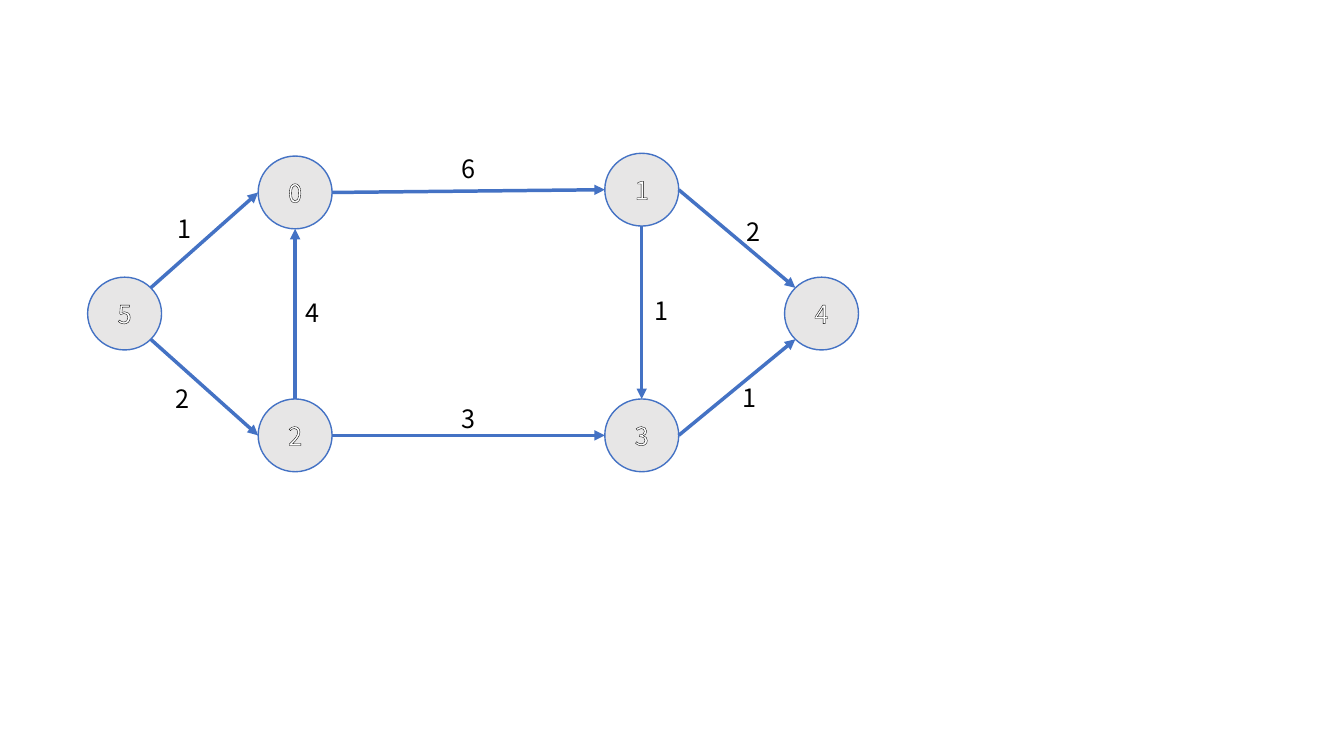
from math import cos, radians, sin

from lxml.etree import SubElement
from pptx import Presentation
from pptx.dml.color import RGBColor
from pptx.enum.shapes import MSO_CONNECTOR, MSO_SHAPE
from pptx.enum.text import MSO_ANCHOR, MSO_AUTO_SIZE, PP_ALIGN
from pptx.oxml import parse_xml
from pptx.oxml.ns import nsdecls, qn
from pptx.util import Pt

BLUE = RGBColor(0x44, 0x72, 0xC4)
GRAY = RGBColor(0xE7, 0xE6, 0xE6)
WHITE = RGBColor(0xFF, 0xFF, 0xFF)
BLACK = RGBColor(0x00, 0x00, 0x00)

NODE_W, NODE_H = 52.8, 52
LABEL_W, LABEL_H = 24.5, 28.8
FONT = {"name": "Noto Sans CJK SC", "size": Pt(18)}
NODE_TEXT = {"vertical_anchor": MSO_ANCHOR.MIDDLE, "word_wrap": True}
LABEL_TEXT = {"word_wrap": False, "auto_size": MSO_AUTO_SIZE.SHAPE_TO_FIT_TEXT}
TOP, LEFT, BOTTOM_LEFT, BOTTOM, BOTTOM_RIGHT, RIGHT, TOP_RIGHT, TOP_LEFT = 0, 2, 3, 4, 5, 6, 7, 1

NODES = {
    "0": (184.4, 111.5),
    "3": (432, 285),
    "5": (62.6, 198),
    "4": (560.4, 198),
    "1": (432, 109.5),
    "2": (184.4, 285),
}
EDGES = [
    ("0", RIGHT, "1", LEFT, "6", (322.5, 105.8)),
    ("1", RIGHT, "4", TOP_LEFT, "2", (526.3, 151.2)),
    ("3", RIGHT, "4", BOTTOM_LEFT, "1", (523.4, 269.3)),
    ("1", BOTTOM, "3", TOP, "1", (460.8, 207.4)),
    ("2", TOP, "0", BOTTOM, "4", (211, 208.8)),
    ("2", RIGHT, "3", LEFT, "3", (322.5, 284.4)),
    ("5", BOTTOM_RIGHT, "2", LEFT, "2", (118, 270)),
    ("5", TOP_RIGHT, "0", LEFT, "1", (119.5, 149)),
]


def write(shape, text, frame_format, color):
    tf = shape.text_frame
    for name, value in frame_format.items():
        setattr(tf, name, value)
    p = tf.paragraphs[0]
    r = p.add_run()
    r.text = text
    for name, value in FONT.items():
        setattr(r.font, name, value)
    r.font.color.rgb = color
    return p, r


def site_point(node, site):
    x, y = NODES[node]
    angle = radians(45 * site)
    return (Pt(x + NODE_W / 2 * (1 - sin(angle))),
            Pt(y + NODE_H / 2 * (1 - cos(angle))))


prs = Presentation()
prs.slide_width, prs.slide_height = Pt(960), Pt(540)
s = prs.slides.add_slide(prs.slide_layouts[6])

circles = {}
for node, (x, y) in NODES.items():
    sp = s.shapes.add_shape(MSO_SHAPE.OVAL, Pt(x), Pt(y), Pt(NODE_W), Pt(NODE_H))
    sp.name = f"Node {node}"
    sp.shadow.inherit = False
    sp.fill.solid()
    sp.fill.fore_color.rgb = GRAY
    sp.line.color.rgb = BLUE
    sp.line.width = Pt(1)
    p, r = write(sp, node, NODE_TEXT, WHITE)
    p.alignment = PP_ALIGN.CENTER
    r.font._element.insert(0, parse_xml(
        f'<a:ln {nsdecls("a")} w="9525"><a:solidFill>'
        f'<a:srgbClr val="{BLACK}"/></a:solidFill></a:ln>'))
    circles[node] = sp

for start, start_site, end, end_site, weight, label_at in EDGES:
    edge = s.shapes.add_connector(
        MSO_CONNECTOR.STRAIGHT, *site_point(start, start_site), *site_point(end, end_site))
    edge.name = f"Edge {start} to {end}"
    edge.line.color.rgb = BLUE
    edge.line.width = Pt(2.5)
    SubElement(edge.line._get_or_add_ln(), qn("a:tailEnd"), type="triangle")
    SubElement(edge._element.spPr, qn("a:effectLst"))
    glue = edge._element.nvCxnSpPr.cNvCxnSpPr
    for tag, node, site in (("a:stCxn", start, start_site), ("a:endCxn", end, end_site)):
        SubElement(glue, qn(tag), id=str(circles[node].shape_id), idx=str(site))

for start, _, end, _, weight, (x, y) in EDGES:
    label = s.shapes.add_textbox(Pt(x), Pt(y), Pt(LABEL_W), Pt(LABEL_H))
    label.name = f"Weight {start} to {end}"
    write(label, weight, LABEL_TEXT, BLACK)

prs.save("out.pptx")
